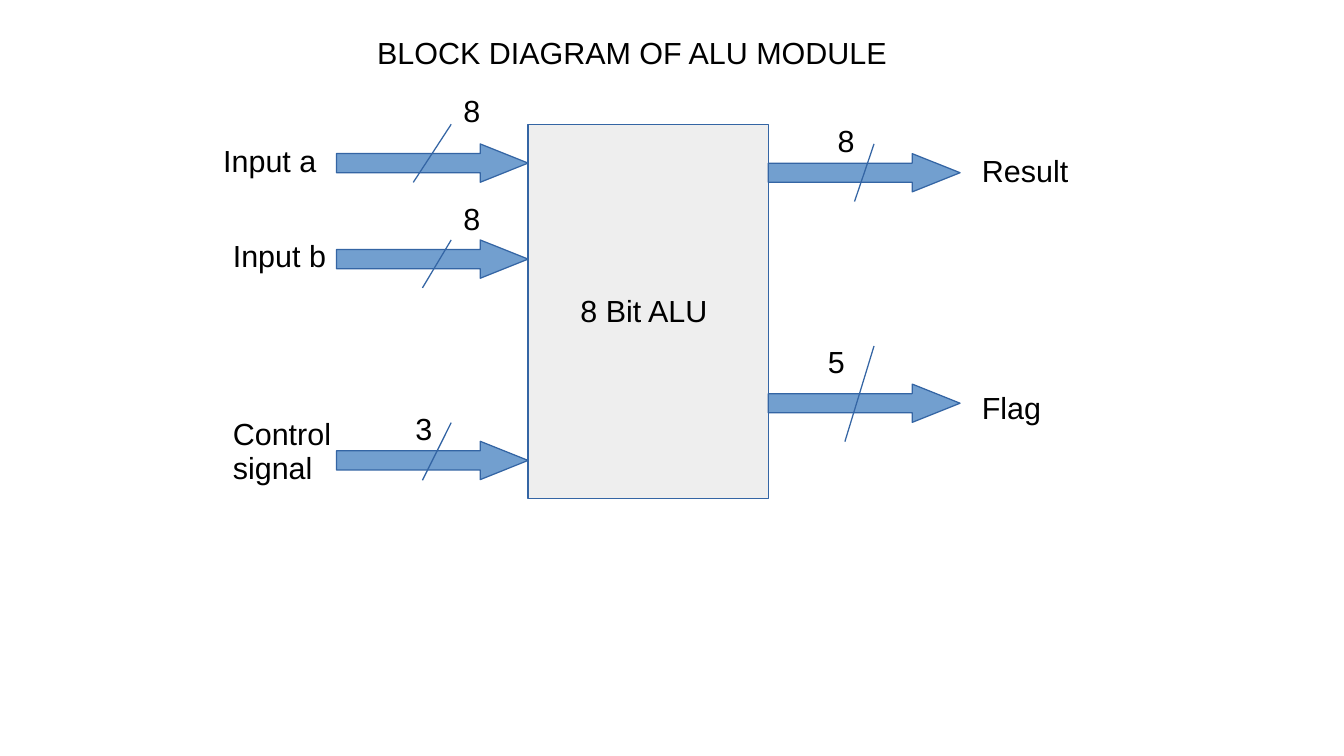
from dataclasses import dataclass

from pptx import Presentation
from pptx.dml.color import RGBColor
from pptx.enum import shapes, text
from pptx.oxml import ns, xmlchemy
from pptx.shapes.autoshape import Shape
from pptx.slide import Slide
from pptx.util import Pt

BLACK = RGBColor(0x00, 0x00, 0x00)
BLOCK_GRAY = RGBColor(0xEE, 0xEE, 0xEE)
ARROW_BLUE = RGBColor(0x72, 0x9F, 0xCF)
LINE_BLUE = RGBColor(0x34, 0x65, 0xA4)

BLOCK_LEFT, BLOCK_TOP, BLOCK_WIDTH, BLOCK_HEIGHT = 311.8, 73.4, 141.8, 221
ARROW_WIDTH, ARROW_HEIGHT = 113.2, 22.6
INPUT_LEFT = BLOCK_LEFT - ARROW_WIDTH
OUTPUT_LEFT = BLOCK_LEFT + BLOCK_WIDTH
LABEL_WIDTH, COUNT_WIDTH, LINE_BOX_HEIGHT = 73.7, 39.6, 27.4


@dataclass(frozen=True)
class Signal:
    """A bus of the ALU; every length is in points."""
    name: str
    name_at: tuple[float, float]
    bits: str
    bits_at: tuple[float, float]
    arrow_at: tuple[float, float]
    slash_from: tuple[float, float]
    slash_to: tuple[float, float]
    name_height: float = LINE_BOX_HEIGHT


SIGNALS = [
    Signal("Input a", (124.7, 80.6), "8", (266.4, 51.1),
           (INPUT_LEFT, 85), (266.4, 73.4), (244, 107.7)),
    Signal("Input b", (130.4, 137), "8", (266.4, 114.8),
           (INPUT_LEFT, 141.7), (266.4, 141.7), (249.4, 170)),
    Signal("Control signal", (130.4, 241.9), "3", (238.2, 239.2),
           (INPUT_LEFT, 260.6), (266.4, 249.6), (249.4, 283.6), 47.5),
    Signal("Result", (572.6, 86.6), "8", (487.4, 69.2),
           (OUTPUT_LEFT, 90.7), (516, 85), (504.5, 119)),
    Signal("Flag", (572.6, 226.8), "5", (481.7, 199.4),
           (OUTPUT_LEFT, 226.8), (516, 204.3), (498.8, 260.8)),
]


def write(shape: Shape, words: str, align: text.PP_ALIGN = text.PP_ALIGN.LEFT,
          anchor: text.MSO_ANCHOR = text.MSO_ANCHOR.TOP, wrap: bool = True) -> None:
    frame = shape.text_frame
    frame.text = words
    frame.word_wrap = wrap
    frame.auto_size = text.MSO_AUTO_SIZE.NONE
    frame.vertical_anchor = anchor
    frame.margin_left = frame.margin_right = Pt(7.2)
    frame.margin_top, frame.margin_bottom = Pt(5), Pt(3.6)
    paragraph = frame.paragraphs[0]
    paragraph.alignment = align
    paragraph.line_spacing = 0.93
    paragraph.space_before = Pt(0)
    font = paragraph.runs[0].font
    font.name, font.size, font.color.rgb = "Arial", Pt(18), BLACK


def add_label(slide: Slide, words: str, at: tuple[float, float],
              width: float, height: float = LINE_BOX_HEIGHT) -> None:
    write(slide.shapes.add_textbox(Pt(at[0]), Pt(at[1]), Pt(width), Pt(height)), words)


def add_filled(slide: Slide, kind: shapes.MSO_SHAPE, at: tuple[float, float],
               width: float, height: float, color: RGBColor) -> Shape:
    shape = slide.shapes.add_shape(kind, Pt(at[0]), Pt(at[1]), Pt(width), Pt(height))
    shape.shadow.inherit = False
    shape.fill.solid()
    shape.fill.fore_color.rgb = color
    shape.line.color.rgb = LINE_BLUE
    shape.line.width = Pt(0.75)
    return shape


def add_slash(slide: Slide, start: tuple[float, float], end: tuple[float, float]) -> None:
    slash = slide.shapes.add_connector(
        shapes.MSO_CONNECTOR.STRAIGHT, Pt(start[0]), Pt(start[1]), Pt(end[0]), Pt(end[1]))
    slash.line.color.rgb = LINE_BLUE
    slash.line.width = Pt(0.75)
    slash._element.spPr.append(xmlchemy.OxmlElement("a:effectLst", nsmap=ns.nsdecls and None))


def add_signal(slide: Slide, signal: Signal) -> None:
    arrow = add_filled(slide, shapes.MSO_SHAPE.RIGHT_ARROW, signal.arrow_at,
                       ARROW_WIDTH, ARROW_HEIGHT, ARROW_BLUE)
    arrow.adjustments[0] = 0.5
    arrow.adjustments[1] = 1.25
    add_slash(slide, signal.slash_from, signal.slash_to)
    add_label(slide, signal.bits, signal.bits_at, COUNT_WIDTH)
    add_label(slide, signal.name, signal.name_at, LABEL_WIDTH, signal.name_height)


def main() -> None:
    presentation = Presentation()
    presentation.slide_width, presentation.slide_height = Pt(793.44), Pt(446.4)
    slide = presentation.slides.add_slide(presentation.slide_layouts[5])

    # Title
    title = slide.shapes.title
    title.left, title.top, title.width, title.height = Pt(215.4), Pt(17.3), Pt(363), Pt(27.4)
    write(title, "BLOCK DIAGRAM OF ALU MODULE")

    # ALU block
    block = add_filled(slide, shapes.MSO_SHAPE.RECTANGLE, (BLOCK_LEFT, BLOCK_TOP),
                       BLOCK_WIDTH, BLOCK_HEIGHT, BLOCK_GRAY)
    write(block, "8 Bit ALU ", text.PP_ALIGN.CENTER, text.MSO_ANCHOR.MIDDLE, wrap=False)

    # Inputs and outputs
    for signal in SIGNALS:
        add_signal(slide, signal)

    presentation.save("out.pptx")


if __name__ == "__main__":
    main()
